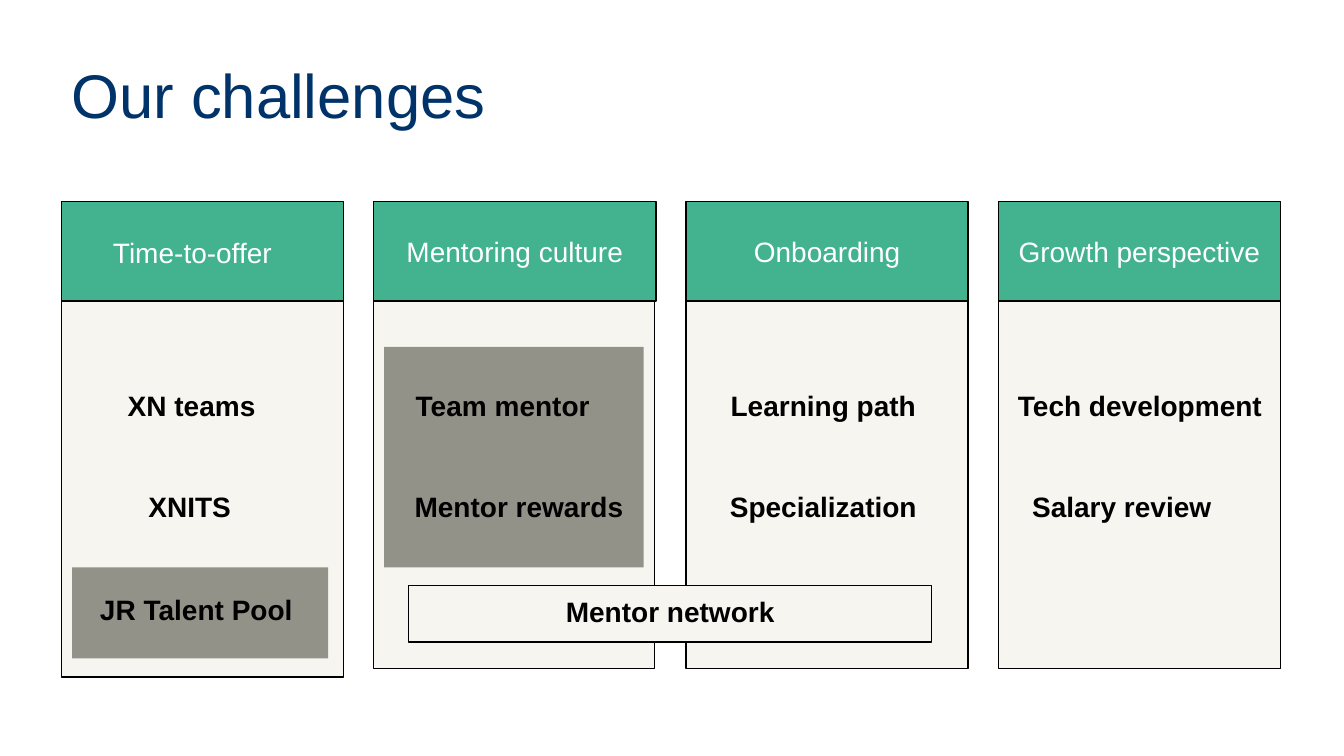
from pptx import Presentation
from pptx.dml.color import RGBColor
from pptx.enum.shapes import MSO_SHAPE as Shape
from pptx.enum.text import MSO_ANCHOR as Anchor, PP_ALIGN as Align
from pptx.util import Cm, Pt

NAVY = RGBColor(0x00, 0x33, 0x69)
GREEN = RGBColor(0x42, 0xB3, 0x8E)
CREAM = RGBColor(0xF6, 0xF5, 0xF0)
GREY = RGBColor(0x92, 0x92, 0x88)
BLACK = RGBColor(0, 0, 0)
WHITE = RGBColor(0xFF, 0xFF, 0xFF)


class ChallengeSlide:
    """Holds the style and the current slide; lengths are in centimetres."""

    font = "Arial"
    text_size = 20
    title_size = 44

    def __init__(self, slide):
        self.shapes = slide.shapes

    def set_text(self, frame, text, size, color, bold=False, align=Align.CENTER):
        frame.word_wrap = True
        frame.text = text
        paragraph = frame.paragraphs[0]
        paragraph.alignment = align
        font = paragraph.runs[0].font
        font.name, font.size, font.bold = self.font, Pt(size), bold
        font.color.rgb = color
        return paragraph

    def box(self, left, top, width, height, fill, outlined=True):
        rect = self.shapes.add_shape(
            Shape.RECTANGLE, Cm(left), Cm(top), Cm(width), Cm(height))
        rect.shadow.inherit = False
        rect.fill.solid()
        rect.fill.fore_color.rgb = fill
        if outlined:
            rect.line.color.rgb = BLACK
            rect.line.width = Pt(1)
        else:
            rect.line.fill.background()
        return rect

    def header(self, left, top, width, height, text):
        rect = self.box(left, top, width, height, GREEN)
        if text:
            rect.text_frame.vertical_anchor = Anchor.MIDDLE
            self.set_text(rect.text_frame, text, self.text_size, WHITE)

    def label(self, center, middle, text, width=6, color=BLACK, bold=True):
        height = 1.02
        area = self.shapes.add_textbox(
            Cm(center - width / 2), Cm(middle - height / 2), Cm(width), Cm(height))
        area.text_frame.vertical_anchor = Anchor.BOTTOM
        self.set_text(area.text_frame, text, self.text_size, color, bold)

    def title(self, left, top, width, height, text):
        area = self.shapes.add_textbox(Cm(left), Cm(top), Cm(width), Cm(height))
        heading = self.set_text(
            area.text_frame, text, self.title_size, NAVY, align=Align.LEFT)
        heading.line_spacing = 0.9


def main():
    prs = Presentation()
    prs.slide_width, prs.slide_height = Cm(33.87), Cm(19.05)
    page = ChallengeSlide(prs.slides.add_slide(prs.slide_layouts[6]))

    page.title(1.55, 1.52, 23.09, 2.41, "Our challenges")

    # Four columns; the first header carries its text in a separate label
    left, pitch, width = 1.55, 7.87, 7.11
    header_top, header_height = 5.08, 2.51
    body_top = header_top + header_height
    columns = [
        ("", width, 9.47),
        ("Mentoring culture", 7.08, 9.25),
        ("Onboarding", width, 9.25),
        ("Growth perspective", width, 9.25),
    ]
    for index, (heading, body_width, body_height) in enumerate(columns):
        x = left + index * pitch
        page.box(x, body_top, body_width, body_height, CREAM)
        page.header(x, header_top, width, header_height, heading)
    page.label(4.85, 6.4, "Time-to-offer", color=WHITE, bold=False)

    # Highlighted areas and the box that spans two columns
    page.box(9.68, 8.74, 6.54, 5.56, GREY, outlined=False)
    page.box(1.82, 14.3, 6.45, 2.29, GREY, outlined=False)
    page.box(10.29, 14.76, 13.18, 1.42, CREAM)

    # Topics, placed by their centres
    first_row, second_row, third_row = 10.26, 12.8, 15.4
    page.label(4.83, first_row, "XN teams")
    page.label(4.78, second_row, "XNITS")
    page.label(4.95, third_row, "JR Talent Pool")
    page.label(12.67, first_row, "Team mentor")
    page.label(13.08, second_row, "Mentor rewards")
    page.label(16.89, third_row + 0.05, "Mentor network")
    page.label(20.75, first_row, "Learning path")
    page.label(20.75, second_row, "Specialization")
    page.label(28.73, first_row, "Tech development", width=7.42)
    page.label(28.27, second_row, "Salary review")

    prs.save("out.pptx")


if __name__ == "__main__":
    main()
